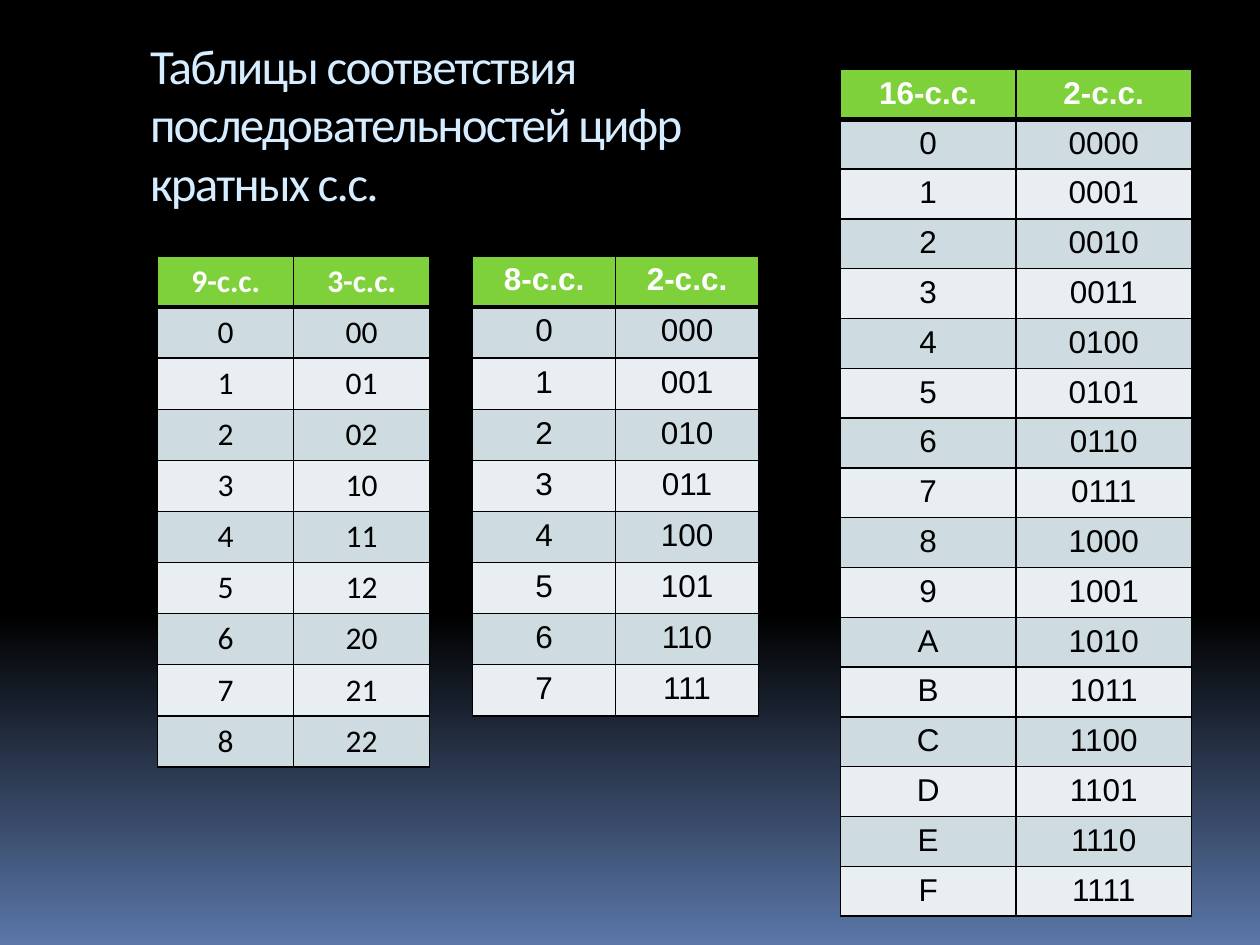
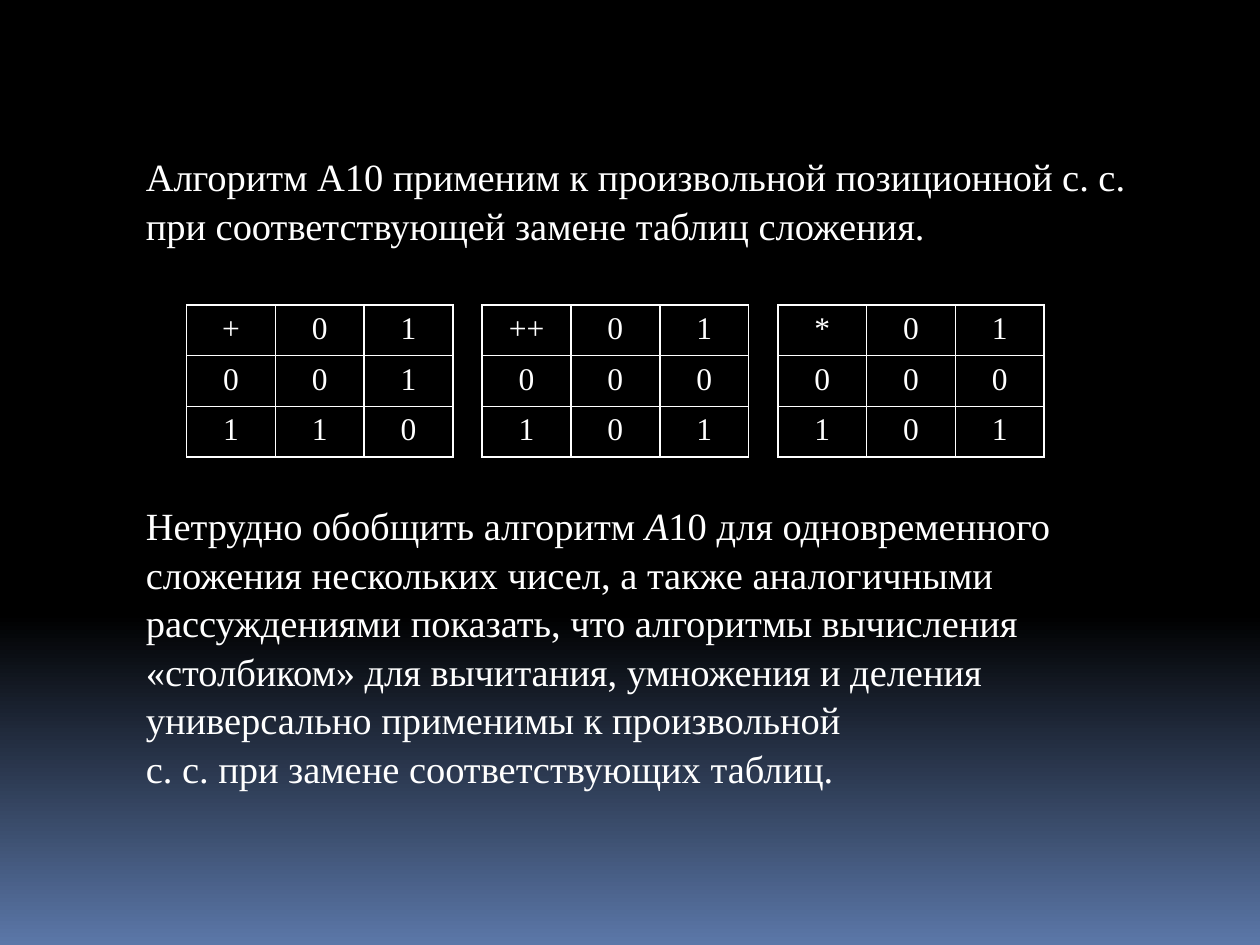
from copy import deepcopy

from lxml import etree
from pptx import Presentation
from pptx.dml.color import RGBColor
from pptx.enum.text import MSO_ANCHOR as ANCHOR, PP_ALIGN as ALIGN
from pptx.oxml.ns import qn
from pptx.util import Cm, Pt

BLACK = RGBColor(0x00, 0x00, 0x00)
WHITE = RGBColor(0xFF, 0xFF, 0xFF)
BLUE = RGBColor(0x5B, 0x77, 0xA8)
PALE_BLUE = RGBColor(0xD6, 0xEC, 0xFF)
GREEN = RGBColor(0x7F, 0xD1, 0x3B)
BAND_DARK = RGBColor(0xCE, 0xDC, 0xE1)
BAND_LIGHT = RGBColor(0xE8, 0xEE, 0xF1)
SERIF = "Times New Roman"
TITLE_ONLY, BLANK = 5, 6


class Deck:
    """Holds the shared style and the slide being filled."""

    def __init__(self):
        self.prs = Presentation()
        self.prs.slide_width, self.prs.slide_height = Cm(25.4), Cm(19.05)
        self.slide = None
        self.background()

    def background(self):
        # Black down to 65 %, then fading to blue
        fill = self.prs.slide_master.background.fill
        fill.gradient()
        fill.gradient_angle = 270
        top, bottom = fill.gradient_stops
        top.color.rgb, top.position = BLACK, 0
        bottom.color.rgb, bottom.position = BLUE, 1
        middle = deepcopy(top._gs)
        middle.set("pos", "65000")
        top._gs.addnext(middle)

    def new_slide(self, layout):
        self.slide = self.prs.slides.add_slide(self.prs.slide_layouts[layout])

    def font(self, p, name, size, color, bold=False):
        f = p.font
        f.name, f.size, f.bold = name, Pt(size), bold
        f.color.rgb = color

    def title(self, text, left, top, width, height):
        sp = self.slide.shapes.title
        sp.left, sp.top, sp.width, sp.height = map(Cm, (left, top, width, height))
        tf = sp.text_frame
        tf.word_wrap, tf.vertical_anchor = True, ANCHOR.TOP
        tf.text = text
        p = tf.paragraphs[0]
        p.alignment = ALIGN.LEFT
        self.font(p, "Calibri", 28, PALE_BLUE)
        p._p.get_or_add_pPr().get_or_add_defRPr().set("spc", "-100")

    def text(self, paragraphs, left, top, width, height):
        """Each paragraph is (space before, [(text, italic), ...])."""
        sp = self.slide.shapes.add_textbox(*map(Cm, (left, top, width, height)))
        tf = sp.text_frame
        tf.word_wrap = True
        for i, (space, runs) in enumerate(paragraphs):
            p = tf.add_paragraph() if i else tf.paragraphs[0]
            p.line_spacing, p.space_before = 1.05, Pt(space)
            self.font(p, SERIF, 22, WHITE)
            for text, italic in runs:
                r = p.add_run()
                r.text = text
                if italic:
                    r.font.italic = True

    def borders(self, cell, color, top=1, bottom=1):
        tcPr = cell._tc.get_or_add_tcPr()
        for side, width in zip("LRTB", (1, 1, top, bottom)):
            ln = etree.SubElement(tcPr, qn(f"a:ln{side}"), w=str(Pt(width)))
            fill = etree.SubElement(ln, qn("a:solidFill"))
            etree.SubElement(fill, qn("a:srgbClr"), val=str(color))

    def table(self, rows, left, top, col_width, row_height, font, banded):
        n_rows, n_cols = len(rows), len(rows[0])
        table = self.slide.shapes.add_table(
            n_rows, n_cols, Cm(left), Cm(top),
            Cm(col_width * n_cols), Cm(row_height * n_rows)).table
        table.first_row = table.horz_banding = False
        for col in table.columns:
            col.width = Cm(col_width)
        for i, row in enumerate(rows):
            table.rows[i].height = Cm(row_height)
            for j, value in enumerate(row):
                cell = table.cell(i, j)
                cell.text = str(value)
                p = cell.text_frame.paragraphs[0]
                p.alignment = ALIGN.CENTER
                head = banded and i == 0
                self.font(p, font, 18, WHITE if head or not banded else BLACK, head)
                if banded:
                    # Thick rule under the header row
                    self.borders(cell, BLACK, 3 if i == 1 else 1, 3 if head else 1)
                    cell.fill.solid()
                    cell.fill.fore_color.rgb = (
                        GREEN if head else BAND_DARK if i % 2 else BAND_LIGHT)
                else:
                    self.borders(cell, WHITE)
                    cell.fill.background()


deck = Deck()

# Slide 1: digits of one base written in another
deck.new_slide(TITLE_ONLY)
deck.title("Таблицы соответствия\vпоследовательностей цифр кратных с.с.",
           2.77, 0.58, 13.89, 4.17)
octal = [("8-с.с.", "2-с.с.")] + [(n, f"{n:03b}") for n in range(8)]
hexadecimal = [("16-с.с.", "2-с.с.")] + [(f"{n:X}", f"{n:04b}") for n in range(16)]
nonary = [("9-c.c.", "3-c.c.")] + [(n, f"{n // 3}{n % 3}") for n in range(9)]
deck.table(octal, 9.53, 5.16, 2.88, 1.03, "Arial", True)
deck.table(hexadecimal, 16.94, 1.4, 3.54, 1.005, "Arial", True)
deck.table(nonary, 3.18, 5.16, 2.74, 1.03, "Calibri", True)

# Slide 2: binary addition, carry and multiplication
deck.new_slide(BLANK)
deck.text([
    (0, [("Алгоритм А10 применим к произвольной позиционной с. с. "
          "при соответствующей замене таблиц сложения.", False)]),
    (144, [("Нетрудно обобщить алгоритм ", False), ("А", True),
           ("10 для одновременного сложения нескольких чисел, а также "
            "аналогичными рассуждениями показать, что алгоритмы вычисления "
            "«столбиком» для вычитания, умножения и деления универсально "
            "применимы к произвольной", False)]),
    (0, [("с. с. при замене соответствующих таблиц.", False)]),
], 2.69, 2.92, 20.83, 13.61)

operations = [("+", lambda a, b: a ^ b),
              ("++", lambda a, b: a & b),
              ("*", lambda a, b: a * b)]
for i, (sign, op) in enumerate(operations):
    rows = [(sign, 0, 1)] + [(a, op(a, 0), op(a, 1)) for a in (0, 1)]
    deck.table(rows, 3.76 + 5.96 * i, 6.15, 1.79, 1.02, SERIF, False)

deck.prs.save("out.pptx")
